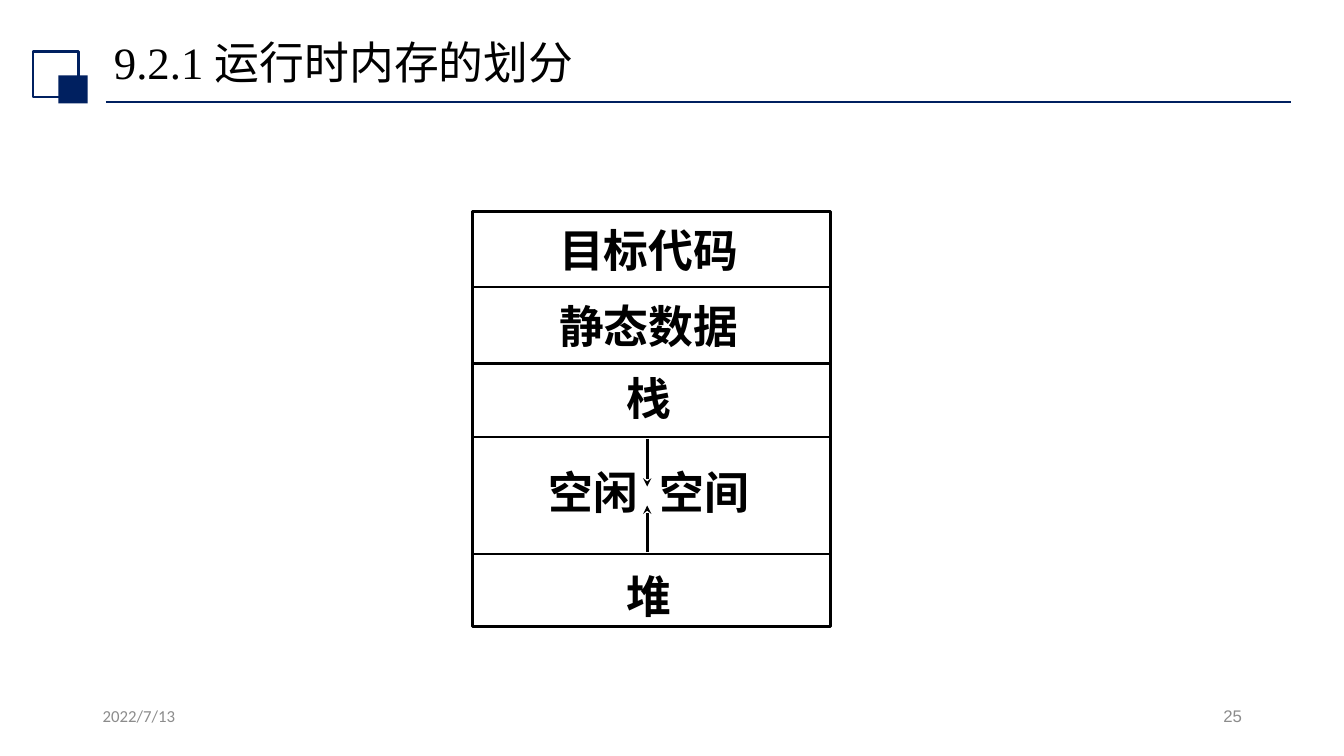
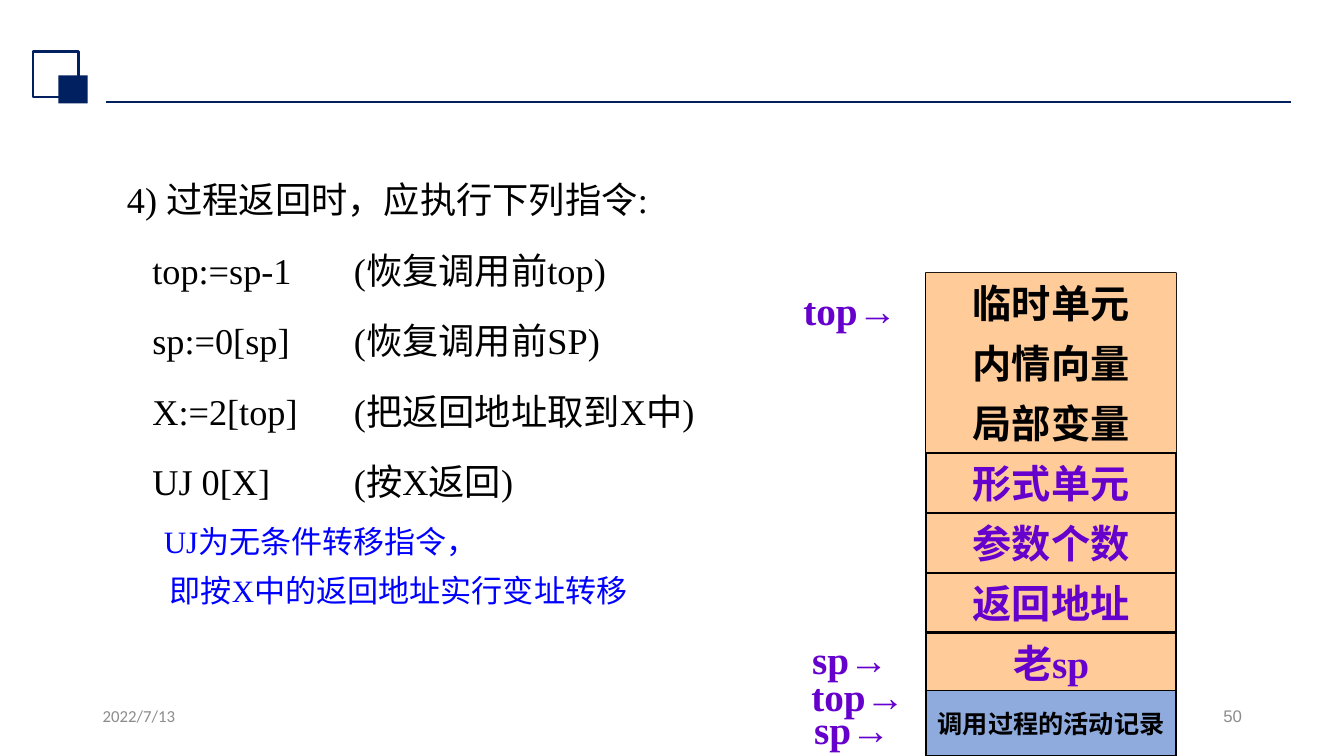
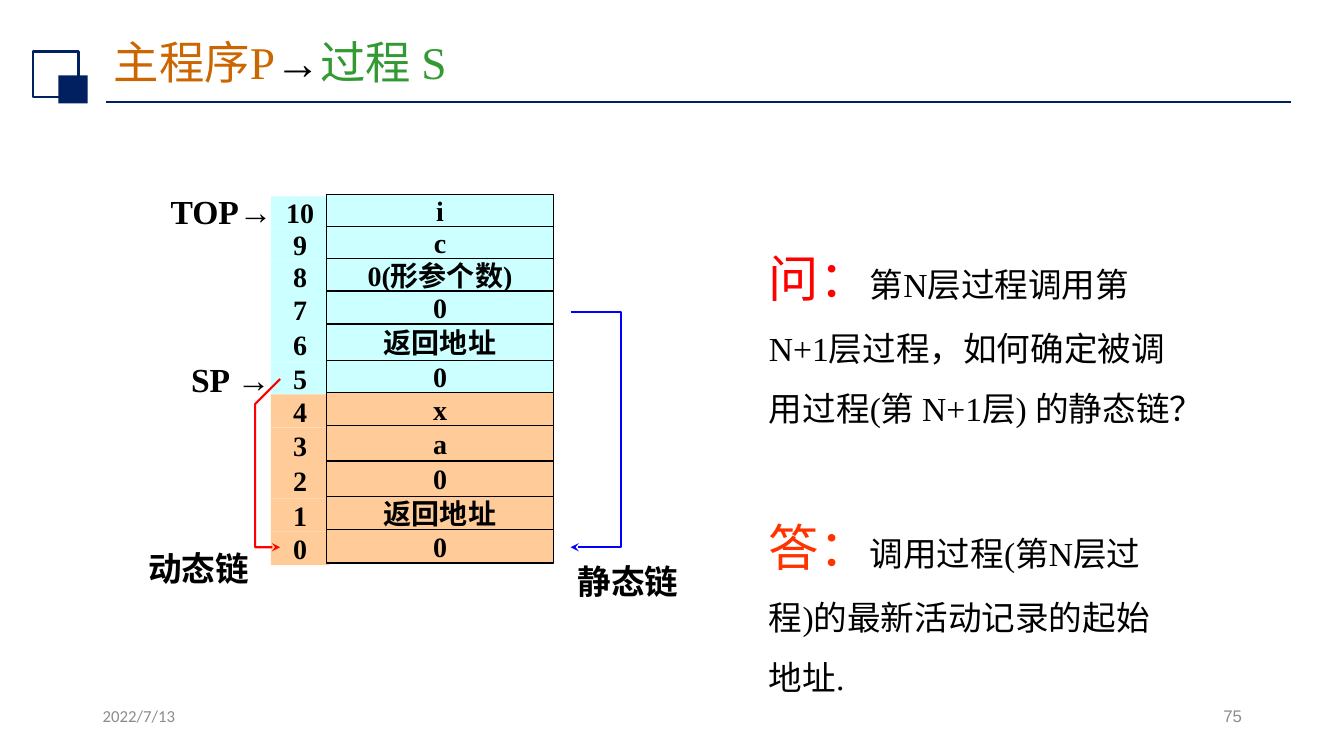
from itertools import accumulate

from lxml import etree
from pptx import Presentation
from pptx.dml.color import RGBColor
from pptx.enum.lang import MSO_LANGUAGE_ID
from pptx.enum.shapes import MSO_CONNECTOR, MSO_SHAPE
from pptx.enum.text import MSO_ANCHOR, MSO_AUTO_SIZE, PP_ALIGN
from pptx.oxml.ns import qn
from pptx.util import Cm, Pt

RECT = MSO_SHAPE.RECTANGLE
STRAIGHT = MSO_CONNECTOR.STRAIGHT
LEFT, CENTER, RIGHT = PP_ALIGN.LEFT, PP_ALIGN.CENTER, PP_ALIGN.RIGHT
TOP, MIDDLE = MSO_ANCHOR.TOP, MSO_ANCHOR.MIDDLE
FIXED, GROW = MSO_AUTO_SIZE.NONE, MSO_AUTO_SIZE.SHAPE_TO_FIT_TEXT
CHINESE = MSO_LANGUAGE_ID.SIMPLIFIED_CHINESE
TITLE_ONLY, BLANK = 5, 6

SERIF = "Times New Roman"
BLACK, NAVY, GRAY = "000000", "002060", "8C8C8C"
PEACH, CYAN, STEEL = "FFCC99", "CCFFFF", "8FAADC"
PURPLE, BLUE, RED = "6600CC", "0000FF", "FF0000"
DATE = "2022/7/13"
INSET = (0.25, 0.13, 0.25, 0.13)
NO_INSET = (0, 0, 0, 0)


def rgb(color):
    return RGBColor.from_string(color)


def add_span(para, text, *, size, color=BLACK, font=SERIF, bold=False, spacing=0):
    span = para.add_run()
    span.text = text
    span.font.size = Pt(size)
    span.font.name = font
    span.font.bold = bold
    span.font.color.rgb = rgb(color)
    span.font.language_id = CHINESE
    if spacing:
        span.font._element.set("spc", str(spacing * 100))


def write(frame, spans, *, align=LEFT, anchor=TOP, inset=INSET, wrap=True,
          line_spacing=None, auto_size=FIXED, **style):
    """Fill the frame's first paragraph; spans is a string or (text, format) pairs."""
    frame.auto_size = auto_size
    frame.word_wrap = wrap
    frame.vertical_anchor = anchor
    frame.margin_left, frame.margin_top, frame.margin_right, frame.margin_bottom = map(Cm, inset)
    para = frame.paragraphs[0]
    para.alignment = align
    if line_spacing:
        para.line_spacing = line_spacing
    for text, extra in [(spans, {})] if isinstance(spans, str) else spans:
        add_span(para, text, **{**style, **extra})


def add_label(page, box, spans, **style):
    label = page.shapes.add_textbox(*map(Cm, box))
    write(label.text_frame, spans, **style)


def style_outline(shape, line, width):
    if line:
        shape.line.color.rgb = rgb(line)
        shape.line.width = Pt(width)
    else:
        shape.line.fill.background()


def add_box(page, box, *, fill=None, line=None, width=1, text=None, **style):
    shape = page.shapes.add_shape(RECT, *map(Cm, box))
    shape.shadow.inherit = False
    if fill:
        shape.fill.solid()
        shape.fill.fore_color.rgb = rgb(fill)
    else:
        shape.fill.background()
    style_outline(shape, line, width)
    if text:
        write(shape.text_frame, text, align=CENTER, anchor=MIDDLE, inset=NO_INSET,
              wrap=False, bold=True, **style)


def add_arrowhead(shape):
    outline = shape.element.spPr.find(qn("a:ln"))
    etree.SubElement(outline, qn("a:tailEnd"), type="stealth")


def add_line(page, x1, y1, x2, y2, *, color=BLACK, width=2, arrow=False):
    line = page.shapes.add_connector(STRAIGHT, *map(Cm, (x1, y1, x2, y2)))
    style_outline(line, color, width)
    if arrow:
        add_arrowhead(line)
    etree.SubElement(line.element.spPr, qn("a:effectLst"))


def add_bent_arrow(page, points, color):
    start, *others = [(Cm(x), Cm(y)) for x, y in points]
    builder = page.shapes.build_freeform(*start)
    builder.add_line_segments(others, close=False)
    arrow = builder.convert_to_shape()
    arrow.shadow.inherit = False
    arrow.fill.background()
    style_outline(arrow, color, 1.5)
    add_arrowhead(arrow)


def add_page(deck, number, title=None, title_size=32):
    """Add a slide with the shared rule, squares and footer, and a title if given."""
    page = deck.slides.add_slide(deck.slide_layouts[TITLE_ONLY if title else BLANK])
    add_line(page, 2.67, 2.57, 32.54, 2.57, color=NAVY, width=1.25)
    add_box(page, (0.84, 1.3, 1.14, 1.14), line=NAVY, width=1.5)
    add_box(page, (1.47, 1.9, 0.74, 0.71), fill=NAVY)
    if title:
        holder = page.shapes.title
        holder.left, holder.top, holder.width, holder.height = map(Cm, (2.62, 0.86, 29.21, 1.55))
        write(holder.text_frame, title, anchor=MIDDLE, line_spacing=0.9, size=title_size)
    add_label(page, (2.34, 17.65, 7.62, 1.02), DATE, size=12, font="Calibri", color=GRAY)
    add_label(page, (23.93, 17.65, 7.62, 1.02), str(number), align=RIGHT, size=12,
              font="Arial", color=GRAY)
    return page


def add_memory_map(page, left, top, width):
    free_space = [("空闲", {}), (" ", {"spacing": 8}), ("空间", {})]
    # text, row height, distance from row top to label
    rows = [("目标代码", 1.9, 0.05), ("静态数据", 1.93, 0.08), ("栈", 1.85, -0.05),
            (free_space, 2.95, 0.46), ("堆", 1.83, 0.13)]
    edges = list(accumulate((height for _, height, _ in rows), initial=top))
    add_box(page, (left, top, width, edges[-1] - top), line=BLACK, width=2)
    for edge in edges[1:-1]:
        add_line(page, left, edge, left + width, edge)
    for (text, _, offset), edge in zip(rows, edges):
        add_label(page, (left + 0.15, edge + offset, 8.58, 1.65), text, align=CENTER,
                  inset=(0.25, 0.23, 0.25, 0.13), size=32, bold=True)
    arrow_x = left + 4.4
    free_top, free_bottom = edges[3:5]
    add_line(page, arrow_x, free_top + 0.05, arrow_x, free_top + 1.25, arrow=True)
    add_line(page, arrow_x, free_bottom - 0.05, arrow_x, free_bottom - 1.22, arrow=True)


def add_return_steps(page, box):
    frame = page.shapes.add_textbox(*map(Cm, box)).text_frame
    write(frame, "4) 过程返回时，应执行下列指令:", line_spacing=1.3, size=25.9)
    steps = [("top:=sp-1", "(恢复调用前top)"), ("sp:=0[sp]", "(恢复调用前SP)"),
             ("X:=2[top]", "(把返回地址取到X中)"), ("UJ 0[X]", "(按X返回)")]
    for command, remark in steps:
        para = frame.add_paragraph()
        tabs = etree.SubElement(para._p.get_or_add_pPr(), qn("a:tabLst"))
        for stop in (0.64, 5.72):
            etree.SubElement(tabs, qn("a:tab"), pos=str(Cm(stop)), algn="l")
        para.line_spacing = 1.3
        para.space_before = Pt(10)
        add_span(para, f"\t{command}\t{remark}", size=25.9)
    notes = [("UJ为无条件转移指令，", 0.93, 6), ("即按X中的返回地址实行变址转移", 1.08, 0)]
    for text, indent, before in notes:
        para = frame.add_paragraph()
        para._p.get_or_add_pPr().set("marL", str(Cm(indent)))
        para.line_spacing = 1.3
        para.space_before = Pt(before)
        add_span(para, text, size=22.2, color=BLUE)


def add_call_stack(page, left, top, width):
    row = 1.51
    local_cells = ["临时单元", "内情向量", "局部变量"]
    linkage_cells = ["形式单元", "参数个数", "返回地址", "老sp"]
    cells = local_cells + linkage_cells
    add_box(page, (left, top, width, row * len(cells)), fill=PEACH, line=BLACK, width=1.5)
    for index, text in enumerate(cells):
        linked = text in linkage_cells
        add_box(page, (left, top + index * row, width, row), fill=PEACH,
                line=BLACK if linked else None, width=1.5, text=text, size=28,
                color=PURPLE if linked else BLACK)
    add_box(page, (left, top + 10.52, width, 1.65), fill=STEEL, line=BLACK,
            text="调用过程的活动记录", size=18)
    pointers = [("top→", -4.01, 0.13, 1.6), ("sp→", -4.01, 8.92, 1.6),
                ("top→", -3.81, 9.86, 1.6), ("sp→", -3.96, 10.82, 1.35)]
    for text, dx, dy, height in pointers:
        add_label(page, (left + dx, top + dy, 4.19, height), text, align=CENTER,
                  anchor=MIDDLE, wrap=False, size=28, color=PURPLE, bold=True)


def add_activation_records(page, left, top):
    """Draw the numbered cells, their pointers and the two chains."""
    values = ["i", "c", "0(形参个数)", "0", "返回地址", "0", "x", "a", "0", "返回地址", "0"]
    heights = [0.81, 0.81, 0.81, 0.84, 0.91, 0.81, 0.84, 0.89, 0.89, 0.84, 0.84]
    tops = accumulate(heights[:-1], initial=top)
    rows = [(10 - index, *row, CYAN if index < 6 else PEACH)
            for index, row in enumerate(zip(values, tops, heights))]
    for number, _, y, height, fill in rows:
        add_box(page, (left, y + 0.05, 1.47, height), fill=fill, text=str(number), size=20)
    for _, value, y, height, fill in rows:
        add_box(page, (left + 1.4, y, 5.72, height), fill=fill, line=BLACK, text=value, size=20)
    labels = [("TOP→", -3.05, 0), ("SP →", -2.82, 4.24),
              ("动态链", -3.63, 8.99), ("静态链", 7.19, 9.32)]
    for text, dx, dy in labels:
        add_label(page, (left + dx, top + dy, 3.61, 0.84), text, align=CENTER,
                  anchor=MIDDLE, wrap=False, size=24, bold=True)
    chains = [(RED, [(0.23, 4.65), (-0.4, 5.28), (-0.4, 8.89), (0.23, 8.89)]),
              (BLUE, [(7.55, 2.97), (8.82, 2.97), (8.82, 8.89), (7.55, 8.89)])]
    for color, points in chains:
        add_bent_arrow(page, [(left + x, top + y) for x, y in points], color)


def add_question_and_answer(page, left, top, width):
    entries = [("问：", RED, 0, 5.46,
                "第N层过程调用第 N+1层过程，如何确定被调用过程(第 N+1层) 的静态链？"),
               ("答：", "FF3300", 6.78, 3.91,
                "调用过程(第N层过程)的最新活动记录的起始地址.")]
    for lead, color, dy, height, text in entries:
        add_label(page, (left, top + dy, width, height),
                  [(lead, {"size": 36, "color": color}), (text, {})],
                  line_spacing=1.5, auto_size=GROW, size=24)


def main():
    deck = Presentation()
    deck.slide_width, deck.slide_height = Cm(33.87), Cm(19.05)

    page = add_page(deck, 25, "9.2.1 运行时内存的划分")
    add_memory_map(page, 11.91, 5.33, 9.02)

    page = add_page(deck, 50)
    add_return_steps(page, (2.95, 4.01, 27.18, 11.46))
    add_call_stack(page, 23.34, 6.88, 6.3)

    title = [("主程序P", {"color": "CC6600"}), ("→", {}), ("过程 S", {"color": "339933"})]
    page = add_page(deck, 75, title, title_size=32.4)
    add_activation_records(page, 6.83, 4.9)
    add_question_and_answer(page, 19.13, 5.33, 10.77)

    deck.save("out.pptx")


if __name__ == "__main__":
    main()
